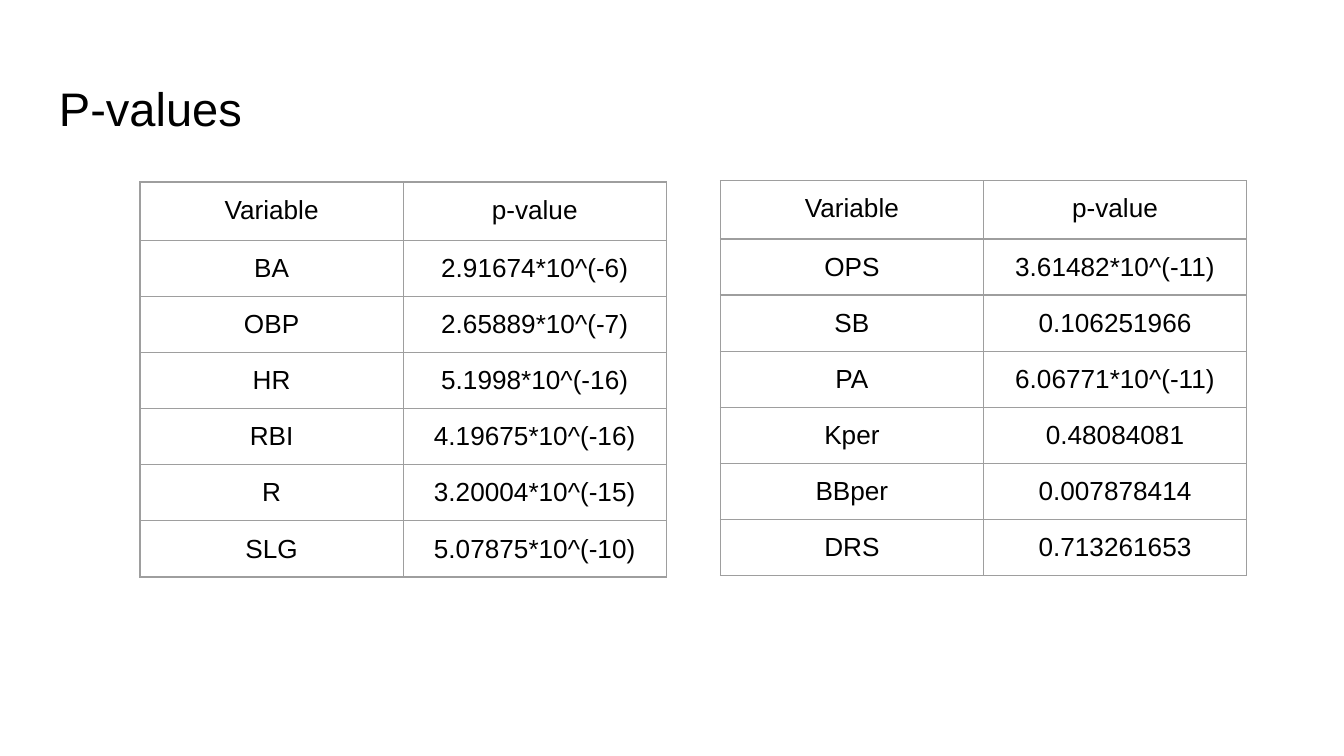
from dataclasses import dataclass

from lxml import etree
from pptx import Presentation
from pptx.dml.color import RGBColor
from pptx.enum.text import MSO_ANCHOR, PP_ALIGN
from pptx.oxml.ns import qn
from pptx.util import Inches, Pt

CENTER = PP_ALIGN.CENTER
LEFT = PP_ALIGN.LEFT
MIDDLE = MSO_ANCHOR.MIDDLE
TOP = MSO_ANCHOR.TOP

SLIDE_WIDTH = Inches(10)
SLIDE_HEIGHT = SLIDE_WIDTH * 9 // 16
PADDING = Inches(0.1)
CELL_BOTTOM_PADDING = Inches(0.08)
FONT = "Arial"
INK = "000000"
BORDER = "9E9E9E"
BORDER_WIDTH = Pt(0.75)
HEADER = ("Variable", "p-value")
COLUMN_SHARE = 19.58
HEADER_SHARE = 7.7
ROW_SHARE = 7.43


@dataclass(frozen=True)
class ValueTable:
    """A table of p-values, placed in percent of the slide."""

    left: float
    top: float
    rows: tuple[tuple[str, str], ...]


TABLES = (
    ValueTable(10.42, 24.07, (
        ("BA", "2.91674*10^(-6)"),
        ("OBP", "2.65889*10^(-7)"),
        ("HR", "5.1998*10^(-16)"),
        ("RBI", "4.19675*10^(-16)"),
        ("R", "3.20004*10^(-15)"),
        ("SLG", "5.07875*10^(-10)"),
    )),
    ValueTable(53.6, 23.91, (
        ("OPS", "3.61482*10^(-11)"),
        ("SB", "0.106251966"),
        ("PA", "6.06771*10^(-11)"),
        ("Kper", "0.48084081"),
        ("BBper", "0.007878414"),
        ("DRS", "0.713261653"),
    )),
)


def color(value: str) -> RGBColor:
    """Turn a hex string into a colour."""
    return RGBColor.from_string(value)


def across(percent: float) -> int:
    """Return a share of the slide width."""
    return round(SLIDE_WIDTH * percent / 100)


def down(percent: float) -> int:
    """Return a share of the slide height."""
    return round(SLIDE_HEIGHT * percent / 100)


def write(holder, text: str, size: float, alignment) -> None:
    """Write one styled paragraph into a text box or a cell."""
    para = holder.text_frame.paragraphs[0]
    para.text = text
    para.alignment = alignment
    for span in para.runs:
        span.font.name = FONT
        span.font.size = Pt(size)
        span.font.bold = False
        span.font.color.rgb = color(INK)


def pad(holder, bottom: int) -> None:
    """Set the margins of a text frame or a cell."""
    holder.margin_left = holder.margin_right = holder.margin_top = PADDING
    holder.margin_bottom = bottom


def outline(cell) -> None:
    """Draw a thin border on the four sides of a cell."""
    properties = cell._tc.get_or_add_tcPr()
    for side in ("a:lnL", "a:lnR", "a:lnT", "a:lnB"):
        line = etree.SubElement(properties, qn(side), w=str(BORDER_WIDTH))
        fill = etree.SubElement(line, qn("a:solidFill"))
        etree.SubElement(fill, qn("a:srgbClr"), val=BORDER)


def draw_title(page, text: str) -> None:
    """Add the slide title."""
    box = page.shapes.add_textbox(across(3.41), down(8.6), across(93.18), down(11.2))
    box.text_frame.word_wrap = True
    box.text_frame.vertical_anchor = MIDDLE
    pad(box.text_frame, PADDING)
    write(box, text, 25.2, LEFT)


def draw_table(page, values: ValueTable) -> None:
    """Add one table with its header row."""
    lines = (HEADER, *values.rows)
    height = HEADER_SHARE + ROW_SHARE * len(values.rows)
    table = page.shapes.add_table(
        len(lines), len(HEADER), across(values.left), down(values.top),
        across(COLUMN_SHARE * len(HEADER)), down(height),
    ).table
    table.first_row = False
    table.horz_banding = False
    for column in table.columns:
        column.width = across(COLUMN_SHARE)
    for index, (row, texts) in enumerate(zip(table.rows, lines)):
        row.height = down(ROW_SHARE if index else HEADER_SHARE)
        for cell, text in zip(row.cells, texts):
            pad(cell, CELL_BOTTOM_PADDING)
            cell.vertical_anchor = TOP
            outline(cell)
            cell.fill.background()
            write(cell, text, 14, CENTER)


def main() -> None:
    """Build and save the deck."""
    deck = Presentation()
    deck.slide_width = SLIDE_WIDTH
    deck.slide_height = SLIDE_HEIGHT
    page = deck.slides.add_slide(deck.slide_layouts[6])
    draw_title(page, "P-values")
    for values in TABLES:
        draw_table(page, values)
    deck.save("out.pptx")


if __name__ == "__main__":
    main()
